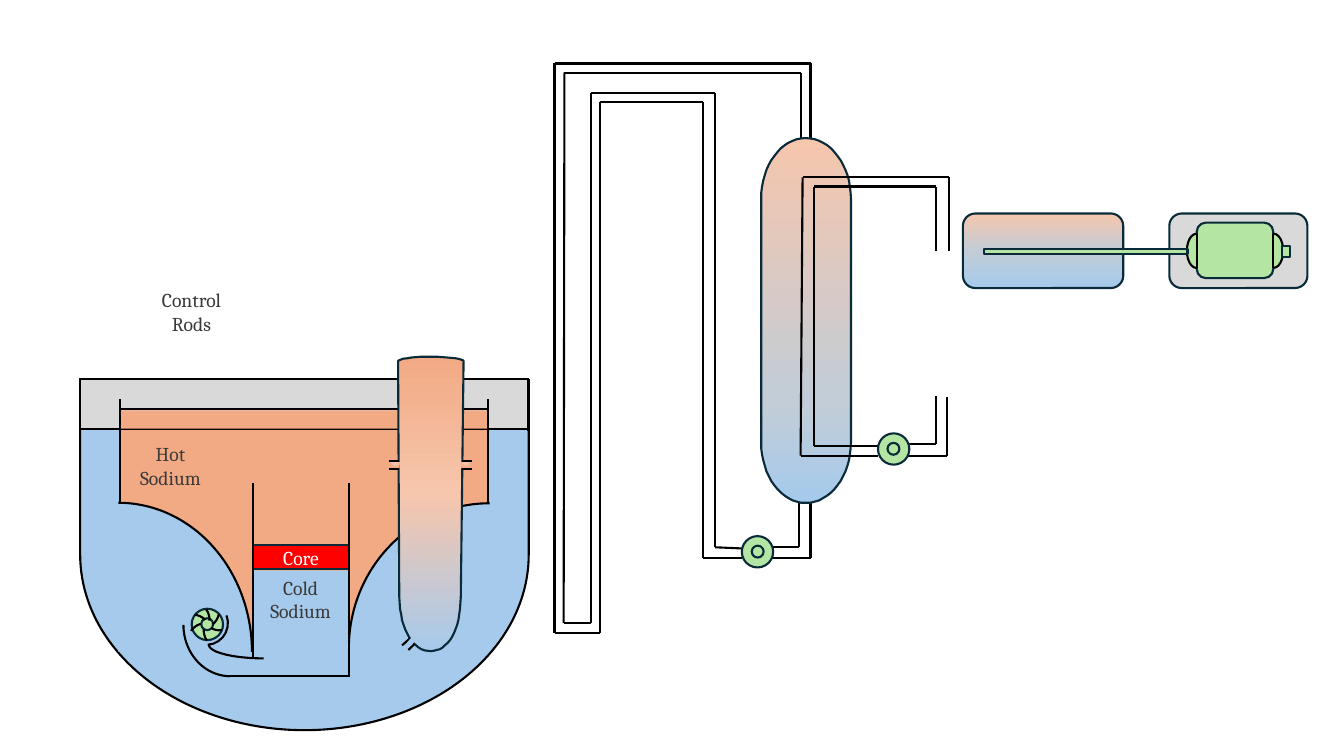
from dataclasses import dataclass
from itertools import pairwise
from lxml import etree
from pptx import Presentation
from pptx import util as u
from pptx.dml.color import RGBColor
from pptx.enum import shapes, text
from pptx.oxml.ns import qn


@dataclass(frozen=True)
class Theme:
    cold: str = "A6CAEC"
    hot: str = "F2AA84"
    warm: str = "F6C6AD"
    mild: str = "C2CDD7"
    steel: str = "D9D9D9"
    machine: str = "B4E5A2"
    core: str = "FF0000"
    edge: str = "092A39"
    pipe: str = "000000"
    label: str = "3A3A3A"
    white: str = "FFFFFF"
    font: str = "Cambria"
    size: int = 14
    stroke: float = 1.5


T = Theme()
KIND = shapes.MSO_SHAPE

# Content: places are in inches, as left, top, width, height
LABELS = [("Hot\nSodium", (1.22, 4.34, 0.94, 0.57)),
          ("Control\nRods", (1.43, 2.81, 0.94, 0.57))]

# Impeller blades: place and turn
BLADES = [((2, 6.02, 0.13, 0.26), 46.3), ((1.95, 6.03, 0.13, 0.25), 0),
          ((1.93, 6.07, 0.13, 0.25), 311.6), ((1.95, 6.12, 0.13, 0.26), 249.6),
          ((2.02, 6.11, 0.13, 0.26), 180), ((2.06, 6.06, 0.13, 0.23), 120.1)]

CORE_WALLS = [[(3.46, 4.79), (3.46, 6.72)], [(2.51, 4.79), (2.51, 6.53)]]
VESSEL_RIM = [[(4.84, 3.96), (4.84, 4.99)], [(1.18, 4.06), (4.84, 4.06)],
              [(1.19, 3.96), (1.19, 4.99)], [(5.24, 3.75), (5.24, 4.27)],
              [(0.79, 3.75), (0.79, 4.27)], [(0.79, 3.76), (5.24, 3.76)]]
OUTLET = [[(4.07, 6.33), (3.99, 6.4)], [(4.11, 6.39), (4.05, 6.45)]]

# Pipe walls, each a run of corners
SODIUM_LOOP = [
    [(8.04, 1.37), (8.04, 0.63), (5.5, 0.63), (5.5, 6.28), (5.95, 6.28),
     (5.95, 1.01), (6.97, 1.01), (6.97, 5.53), (7.36, 5.53)],
    [(7.95, 1.37), (7.95, 0.72), (5.6, 0.72), (5.59, 6.18), (5.86, 6.18),
     (5.86, 0.92), (7.09, 0.92), (7.09, 5.43), (7.36, 5.44)],
    [(7.66, 5.53), (8.04, 5.53), (8.04, 4.94)],
    [(7.66, 5.43), (7.93, 5.43), (7.93, 4.94)]]
STEAM_LOOP = [
    [(9.41, 2.49), (9.41, 1.76), (7.96, 1.76), (7.94, 4.52), (8.71, 4.52)],
    [(9.28, 2.49), (9.28, 1.85), (8.07, 1.85), (8.07, 4.42), (8.71, 4.42)],
    [(9, 4.52), (9.39, 4.52), (9.39, 3.94)],
    [(9.01, 4.41), (9.28, 4.41), (9.28, 3.93)]]

# Outlines: one point is a straight side, three points are a curve
EXCHANGER = [[(4.6, 3.58)], [(4.57, 5.92)],
             [(4.57, 6.26), (4.44, 6.46), (4.27, 6.46)],
             [(4.11, 6.46), (3.97, 6.27), (3.96, 5.92)], [(3.95, 3.58)],
             [(4.03, 3.52), (4.54, 3.53), (4.6, 3.58)]]
STEAM_GENERATOR = [[(7.99, 1.37)], [(8.24, 1.37), (8.44, 1.64), (8.44, 1.97)],
                   [(8.44, 4.39)], [(8.44, 4.72), (8.24, 4.99), (7.99, 4.99)],
                   [(7.75, 4.99), (7.55, 4.72), (7.55, 4.39)], [(7.55, 1.97)],
                   [(7.55, 1.64), (7.75, 1.37), (7.99, 1.37)]]

# Gradients: position and colour, from bottom to top
EXCHANGER_HEAT = [(0, T.cold), (53, T.warm), (100, T.hot)]
GENERATOR_HEAT = [(0, T.cold), (28, T.mild), (100, T.warm)]
TURBINE_HEAT = [(0, T.cold), (50, T.mild), (100, T.warm)]
NOZZLE_HEAT = [(0, T.warm), (37, T.warm), (100, T.hot)]

deck = Presentation()
deck.slide_width, deck.slide_height = u.Cm(33.86), u.Cm(19.05)
page = deck.slides.add_slide(deck.slide_layouts[6])


def cm(inches):
    return u.Cm(round(inches * 2.54, 2))


def paint(box, fill, line, radial=False):
    box.shadow.inherit = False
    if fill is None:
        box.fill.background()
    elif isinstance(fill, str):
        box.fill.solid()
        box.fill.fore_color.rgb = RGBColor.from_string(fill)
    else:
        box.fill.gradient()
        grad = box._element.spPr.find(qn("a:gradFill"))
        for child in list(grad):
            grad.remove(child)
        stops = etree.SubElement(grad, qn("a:gsLst"))
        for place, color in fill:
            stop = etree.SubElement(stops, qn("a:gs"), pos=str(place * 1000))
            etree.SubElement(stop, qn("a:srgbClr"), val=color)
        if radial:
            way = etree.SubElement(grad, qn("a:path"), path="circle")
            etree.SubElement(way, qn("a:fillToRect"), l="50000", t="-80000",
                             r="50000", b="180000")
        else:
            etree.SubElement(grad, qn("a:lin"), ang=str(270 * 60000), scaled="0")
    if line is None:
        box.line.fill.background()
    else:
        box.line.color.rgb = RGBColor.from_string(line)
        box.line.width = u.Pt(T.stroke)


def draw(kind, at, fill=None, line=None, turn=0, adjust=(), radial=False, on=page):
    box = on.shapes.add_shape(kind, *map(cm, at))
    box.rotation = turn
    for index, value in enumerate(adjust):
        box.adjustments[index] = value
    paint(box, fill, line, radial)
    return box


def pipes(runs, on=page):
    for run in runs:
        for start, end in pairwise(run):
            wall = on.shapes.add_connector(shapes.MSO_CONNECTOR.STRAIGHT,
                                           *map(cm, start + end))
            wall.line.color.rgb = RGBColor.from_string(T.pipe)
            wall.line.width = u.Pt(T.stroke)
            etree.SubElement(wall._element.spPr, qn("a:effectLst"))


def outline(parts, fill):
    points = [parts[0][0]]
    for part in parts[1:]:
        if len(part) == 1:
            points += part
            continue
        a, (b, c, d) = points[-1], part
        for t in (step / 16 for step in range(1, 17)):
            s = 1 - t
            points.append(tuple(s**3 * a[i] + 3 * s * s * t * b[i]
                                + 3 * s * t * t * c[i] + t**3 * d[i] for i in (0, 1)))
    points = [(cm(x), cm(y)) for x, y in points]
    builder = page.shapes.build_freeform(*points[0], scale=1.0)
    builder.add_line_segments(points[1:], close=True)
    paint(builder.convert_to_shape(), fill, T.edge)


def write(box, words, color=T.label, anchor=text.MSO_ANCHOR.TOP):
    frame = box.text_frame
    frame.word_wrap = True
    frame.vertical_anchor = anchor
    for index, line in enumerate(words.split("\n")):
        para = frame.paragraphs[0] if index == 0 else frame.add_paragraph()
        para.alignment = text.PP_ALIGN.CENTER
        span = para.add_run()
        span.text = line
        span.font.name, span.font.size = T.font, u.Pt(T.size)
        span.font.color.rgb = RGBColor.from_string(color)


def pump(left, top):
    group = page.shapes.add_group_shape()
    for inset, size in ((0, 0.31), (0.095, 0.12)):
        draw(KIND.OVAL, (left + inset, top + inset, size, size),
             T.machine, T.edge, on=group)


# Reactor vessel and its lid
draw(KIND.FLOWCHART_DELAY, (1.28, 3.28, 3.48, 4.45), T.cold, T.pipe, turn=90)
draw(KIND.RECTANGLE, (1.18, 4.06, 3.66, 2.36), T.hot)
draw(KIND.RECTANGLE, (0.79, 3.77, 4.45, 0.48), T.steel)
pipes([[(0.79, 4.26), (5.24, 4.26)]])
draw(KIND.ARC, (-0.15, 4.99, 2.65, 2.96), T.cold, T.pipe)

# Inlet duct with the impeller pump
pipes([[(3.46, 6.71), (2.27, 6.71)]])
draw(KIND.ARC, (1.82, 5.69, 0.93, 1.02), line=T.pipe, turn=180)
pump(1.9, 6.04)
draw(KIND.ARC, (2.07, 6.26, 1.09, 0.27), line=T.pipe, turn=180, adjust=(162.364, 0))
draw(KIND.ARC, (1.83, 5.97, 0.43, 0.43), line=T.pipe, turn=86.1, adjust=(151.706, 0))
for at, turn in BLADES:
    draw(KIND.ARC, at, line=T.pipe, turn=turn, adjust=(171.153, 0))

# Core
core = draw(KIND.RECTANGLE, (2.51, 5.41, 0.95, 0.24), T.core, T.edge)
write(core, "Core", color=T.white, anchor=text.MSO_ANCHOR.MIDDLE)
write(draw(KIND.RECTANGLE, (2.51, 5.66, 0.94, 0.57), T.cold), "Cold\nSodium")
draw(KIND.ARC, (3.42, 5.03, 2.87, 2.79), T.cold, T.pipe, turn=270)
draw(KIND.RECTANGLE, (2.51, 6.23, 0.94, 0.2), T.cold)
pipes(CORE_WALLS)
draw(KIND.RECTANGLE, (1.2, 4.07, 3.65, 0.18), T.hot)
pipes(VESSEL_RIM)
for words, at in LABELS:
    write(page.shapes.add_textbox(*map(cm, at)), words)

# Heat exchanger with its nozzles
outline(EXCHANGER, EXCHANGER_HEAT)
pipes(SODIUM_LOOP + OUTLET)
draw(KIND.RECTANGLE, (4.05, 6.34, 0.05, 0.06), T.cold, turn=41.5)
for left, turn, inner, outer in ((3.89, 90, 3.96, 3.86), (4.59, 270, 4.58, 4.68)):
    nozzle = page.shapes.add_group_shape()
    draw(KIND.RECTANGLE, (left, 4.57, 0.06, 0.09), NOZZLE_HEAT, turn=turn,
         radial=True, on=nozzle)
    pipes([[(inner, y), (outer, y)] for y in (4.57, 4.65)], on=nozzle)

# Steam generator and both loop pumps
pump(7.36, 5.32)
outline(STEAM_GENERATOR, GENERATOR_HEAT)
pipes(STEAM_LOOP)
pump(8.71, 4.3)

# Turbine, electric generator and shaft
draw(KIND.ROUNDED_RECTANGLE, (9.55, 2.12, 1.59, 0.74), TURBINE_HEAT, T.edge)
dynamo = page.shapes.add_group_shape()
draw(KIND.ROUNDED_RECTANGLE, (11.6, 2.12, 1.37, 0.74), T.steel, T.edge, on=dynamo)
draw(KIND.ROUNDED_RECTANGLE, (11.87, 2.21, 0.76, 0.55), T.machine, T.edge, on=dynamo)
for left, turn, x in ((12.54, 0, 12.63), (11.77, 180, 11.87)):
    draw(KIND.ARC, (left, 2.32, 0.19, 0.34), T.machine, T.pipe, turn=turn,
         adjust=(161.111, 54.401), on=dynamo)
    pipes([[(x, 2.32), (x, 2.66)]], on=dynamo)
draw(KIND.RECTANGLE, (12.72, 2.44, 0.08, 0.11), T.machine, T.edge, on=dynamo)
draw(KIND.RECTANGLE, (9.76, 2.47, 2.02, 0.05), T.machine, T.edge)

deck.save("out.pptx")
